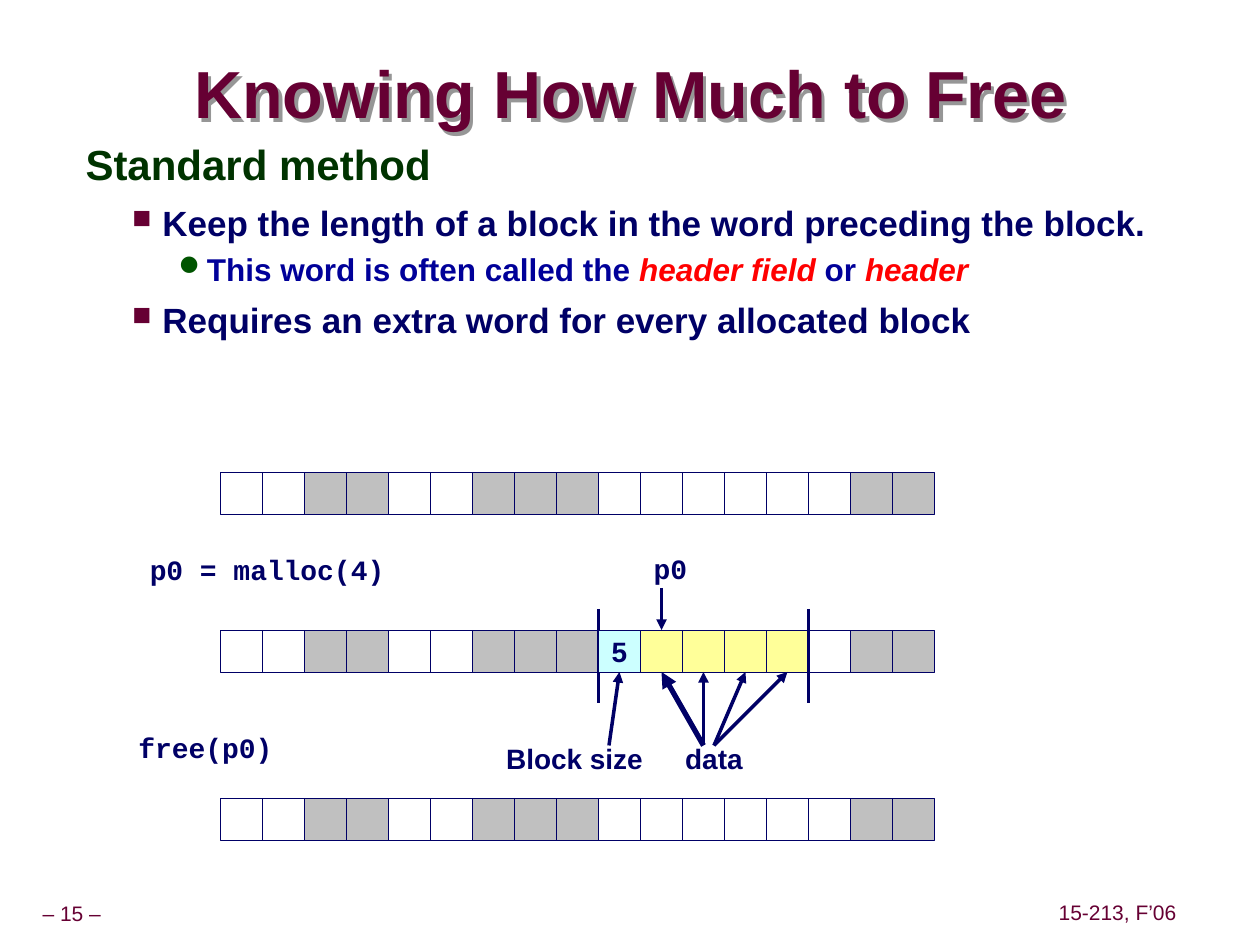
from lxml import etree
from pptx import Presentation
from pptx.dml.color import RGBColor
from pptx.enum.shapes import MSO_CONNECTOR, MSO_SHAPE
from pptx.enum.text import MSO_ANCHOR, MSO_AUTO_SIZE, PP_ALIGN
from pptx.oxml import parse_xml
from pptx.oxml.ns import nsdecls, qn
from pptx.util import Pt

STRAIGHT, RECT = MSO_CONNECTOR.STRAIGHT, MSO_SHAPE.RECTANGLE
MIDDLE, CENTER = MSO_ANCHOR.MIDDLE, PP_ALIGN.CENTER
FIT_SHAPE, FIXED = MSO_AUTO_SIZE.SHAPE_TO_FIT_TEXT, MSO_AUTO_SIZE.NONE

MAROON = RGBColor(0x66, 0x00, 0x33)
DARK_GREEN = RGBColor(0x00, 0x33, 0x00)
BULLET_GREEN = RGBColor(0x00, 0x54, 0x00)
NAVY = RGBColor(0x00, 0x00, 0x66)
BLUE = RGBColor(0x00, 0x00, 0x99)
RED = RGBColor(0xFF, 0x00, 0x00)
WHITE = RGBColor(0xFF, 0xFF, 0xFF)
GRAY = RGBColor(0xC0, 0xC0, 0xC0)
SHADOW_GRAY = RGBColor(0x96, 0x96, 0x96)
YELLOW = RGBColor(0xFF, 0xFF, 0x99)
CYAN = RGBColor(0xCC, 0xFF, 0xFF)

SANS, MONO, SYMBOLS = "Arial", "Courier New", "Wingdings"
CELL = 24
CELL_FILLS = {".": WHITE, "#": GRAY, "d": YELLOW, "h": CYAN}
FREE_ROW = "..##..###......##"
ALLOCATED_ROW = "..##..###.dddd.##"


def style_font(font, size, color, name=SANS, bold=True):
    """Set the size, colour, face and weight of a font."""
    font.size, font.name, font.bold = Pt(size), name, bold
    font.color.rgb = color


def set_insets(tf, horizontal, vertical):
    """Set equal side insets and equal top and bottom insets."""
    tf.margin_left = tf.margin_right = Pt(horizontal)
    tf.margin_top = tf.margin_bottom = Pt(vertical)


def add_title(s, left, top, width, height):
    """Place the shadowed slide title."""
    sp = s.shapes.title
    sp.left, sp.top, sp.width, sp.height = Pt(left), Pt(top), Pt(width), Pt(height)
    sp.fill.background()
    sp._element.spPr.append(parse_xml(
        f'<a:effectLst {nsdecls("a")}><a:outerShdw dist="{Pt(3)}" dir="2700000" '
        f'algn="ctr" rotWithShape="0"><a:srgbClr val="{SHADOW_GRAY}"/>'
        '</a:outerShdw></a:effectLst>'))
    tf = sp.text_frame
    tf.text = "Knowing How Much to Free"
    tf.vertical_anchor, tf.auto_size = MIDDLE, FIXED
    set_insets(tf, 0, 0)
    p = tf.paragraphs[0]
    p.alignment, p.line_spacing = CENTER, 0.87
    style_font(p.runs[0].font, 38, MAROON)


def set_bullet(p, left, hanging, char, color, percent):
    """Give a paragraph a hanging indent and a coloured symbol bullet."""
    pPr = p._p.get_or_add_pPr()
    pPr.set("marL", str(Pt(left)))
    pPr.set("indent", str(-Pt(hanging)))
    bu_color = etree.SubElement(pPr, qn("a:buClr"))
    etree.SubElement(bu_color, qn("a:srgbClr"), val=str(color))
    etree.SubElement(pPr, qn("a:buSzPct"), val=str(percent * 1000))
    etree.SubElement(pPr, qn("a:buFont"), typeface=SYMBOLS, charset="2")
    etree.SubElement(pPr, qn("a:buChar"), char=char)


def add_body(s, left, top, width, height):
    """Place the heading and its bullets."""
    tf = s.shapes.add_textbox(Pt(left), Pt(top), Pt(width), Pt(height)).text_frame
    tf.word_wrap = True
    set_insets(tf, 7.2, 3.6)
    p = tf.paragraphs[0]
    p.text = "Standard method"
    p.line_spacing = 0.95
    style_font(p.runs[0].font, 24, DARK_GREEN)
    items = [
        (1, ["Keep the length of a block in the word preceding the block."]),
        (2, ["This word is often called the ", "header field", " or ", "header"]),
        (1, ["Requires an extra word for every allocated block"]),
    ]
    formats = {
        1: (20, NAVY, 1.0, 6.2, (43.9, 17.3, "n", MAROON, 75)),
        2: (18, BLUE, 1.07, 2.2, (66.2, 13, "l", BULLET_GREEN, 90)),
    }
    for level, parts in items:
        size, color, spacing, before, bullet = formats[level]
        p = tf.add_paragraph()
        p.level, p.line_spacing, p.space_before = level, spacing, Pt(before)
        set_bullet(p, *bullet)
        for i, part in enumerate(parts):
            r = p.add_run()
            r.text = part
            is_term = i % 2 == 1
            style_font(r.font, size, RED if is_term else color)
            r.font.italic = is_term


def add_label(s, text, left, top, width, name=SANS):
    """Place a one-line diagram label."""
    tf = s.shapes.add_textbox(Pt(left), Pt(top), Pt(width), Pt(26.6)).text_frame
    tf.text = text
    tf.word_wrap, tf.auto_size = False, FIT_SHAPE
    set_insets(tf, 7.2, 3.6)
    style_font(tf.paragraphs[0].runs[0].font, 16, NAVY, name)


def add_footer(s, text, left, top, width):
    """Place a small centred footer text."""
    tf = s.shapes.add_textbox(Pt(left), Pt(top), Pt(width), Pt(20.2)).text_frame
    tf.text = text
    tf.word_wrap, tf.auto_size, tf.vertical_anchor = False, FIT_SHAPE, MIDDLE
    set_insets(tf, 3.6, 3.6)
    p = tf.paragraphs[0]
    p.alignment, p.line_spacing = CENTER, 0.9
    style_font(p.runs[0].font, 12, MAROON, bold=False)


def add_cell(s, left, top, kind):
    """Draw one memory word and return it."""
    sp = s.shapes.add_shape(RECT, Pt(left), Pt(top), Pt(CELL), Pt(CELL))
    sp.shadow.inherit = False
    sp.fill.solid()
    sp.fill.fore_color.rgb = CELL_FILLS[kind]
    sp.line.color.rgb, sp.line.width = NAVY, Pt(0.25)
    return sp


def add_memory_row(s, left, top, kinds):
    """Draw a row of memory words."""
    for i, kind in enumerate(kinds):
        add_cell(s, left + i * CELL, top, kind)


def add_line(s, x1, y1, x2, y2, width, arrow=True):
    """Draw a straight line, with an arrowhead at its end if wanted."""
    line = s.shapes.add_connector(STRAIGHT, Pt(x1), Pt(y1), Pt(x2), Pt(y2))
    line.line.color.rgb, line.line.width = NAVY, Pt(width)
    if arrow:
        etree.SubElement(line.line._get_or_add_ln(), qn("a:tailEnd"), type="triangle")
    etree.SubElement(line._element.spPr, qn("a:effectLst"))


def add_allocated_block(s, left, top):
    """Draw the row after allocation with its header, data and pointers."""
    add_memory_row(s, left, top, ALLOCATED_ROW)
    header = left + 9 * CELL
    bottom = top + CELL
    arrow_start = top + 66
    for x in (header, header + 5 * CELL):
        add_line(s, x, top - 12, x, top + 42, 2.25, arrow=False)
    sp = add_cell(s, header, top, "h")
    tf = sp.text_frame
    tf.text = "5"
    tf.word_wrap, tf.vertical_anchor = False, MIDDLE
    set_insets(tf, 7.2, 3.6)
    tf.paragraphs[0].alignment = CENTER
    style_font(tf.paragraphs[0].runs[0].font, 16, NAVY)

    add_label(s, "p0", header + 24.5, top - 48.2, 36, MONO)
    add_line(s, header + 36, top - 24, header + 36, top, 2)
    add_label(s, "Block size", header - 59.8, top + 60, 95)
    add_line(s, header + 6, arrow_start, header + 12, bottom, 2)
    add_label(s, "data", header + 42.5, top + 60, 50)
    for i, (start, width) in enumerate([(60, 3), (60, 2), (66, 2), (66, 2)]):
        add_line(s, header + start, arrow_start, header + 36 + i * CELL, bottom, width)


def main():
    """Build and save the slide."""
    prs = Presentation()
    prs.slide_width, prs.slide_height = Pt(720), Pt(540)
    s = prs.slides.add_slide(prs.slide_layouts[5])
    add_footer(s, "– 15 –", 0, 512.6, 82.1)
    add_footer(s, "15-213, F’06", 601.2, 511.9, 74.9)
    add_title(s, 77.8, 33.1, 565.2, 45.4)
    add_body(s, 41.8, 77.8, 650.2, 156.2)
    add_label(s, "p0 = malloc(4)", 78.5, 312, 151, MONO)
    add_label(s, "free(p0)", 72, 414, 94, MONO)
    add_memory_row(s, 126, 270, FREE_ROW)
    add_allocated_block(s, 126, 360)
    add_memory_row(s, 126, 456, FREE_ROW)
    prs.save("out.pptx")


if __name__ == "__main__":
    main()
